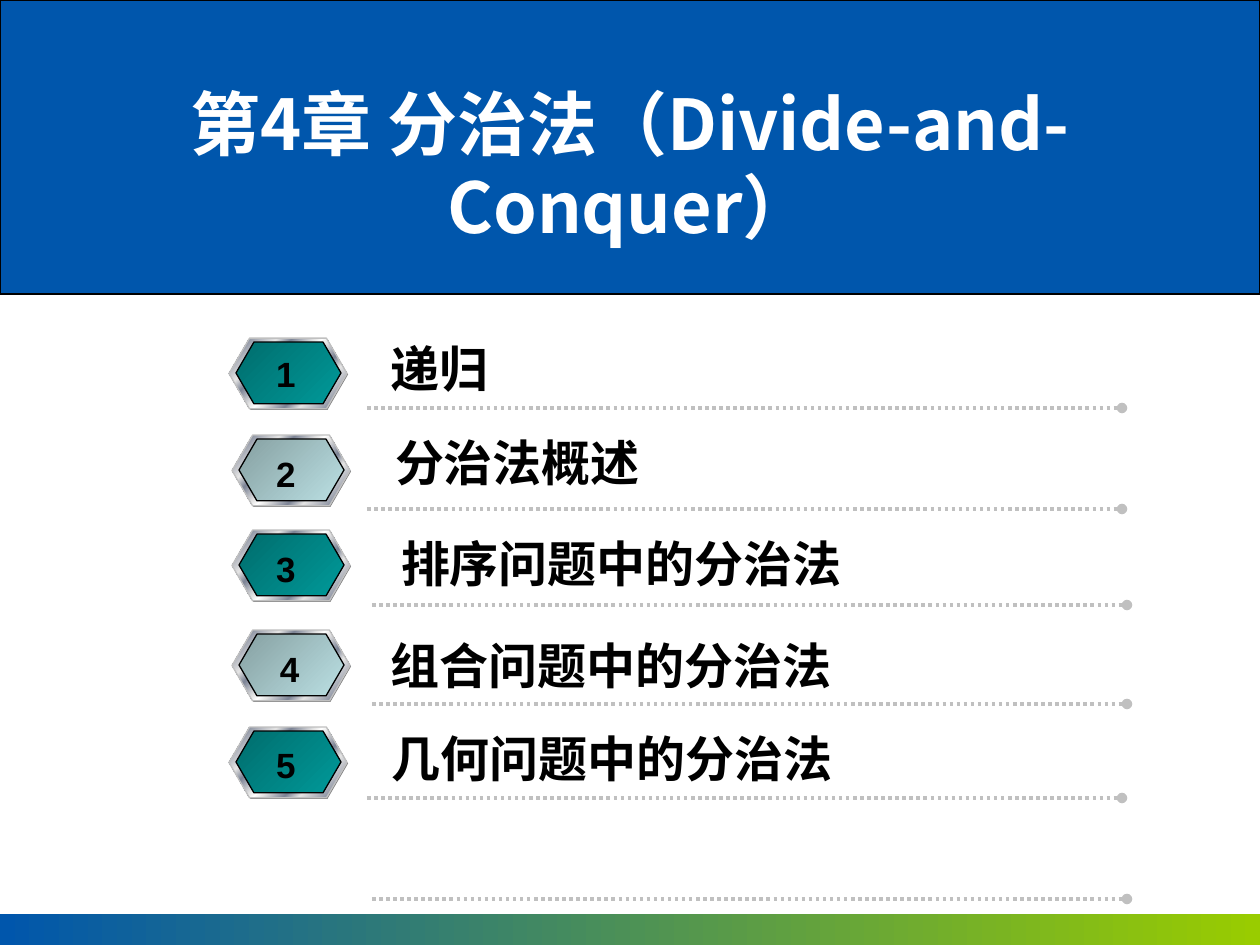
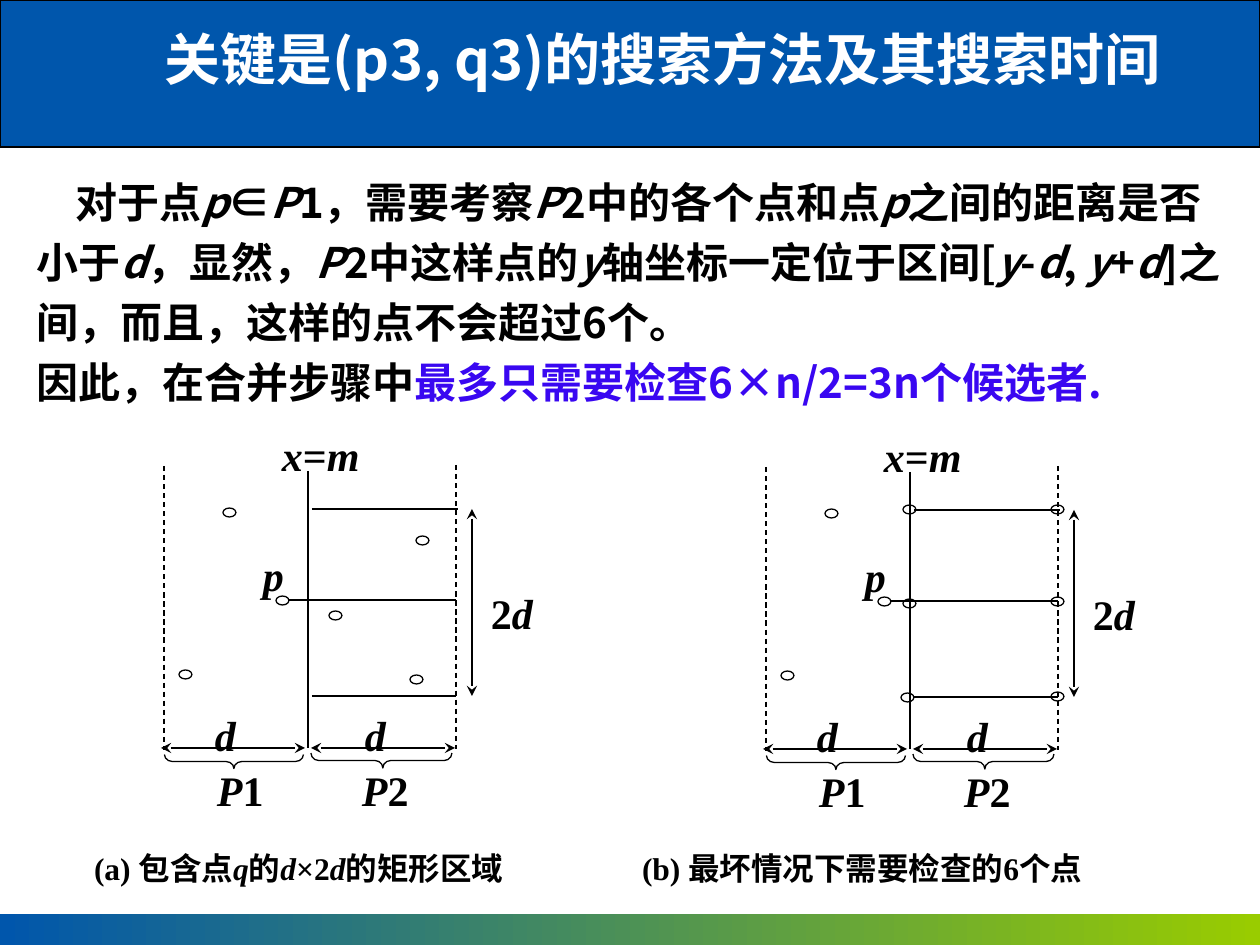
"""Build a chapter opener and a closest-pair search slide for divide and conquer."""
from lxml import etree
from pptx import Presentation
from pptx import util as u
from pptx.dml.color import RGBColor
from pptx.enum import dml, shapes, text
from pptx.oxml import ns

BLUE = RGBColor(0x00, 0x56, 0xAC)
LIME = RGBColor(0x99, 0xCC, 0x00)
BLACK = RGBColor(0x00, 0x00, 0x00)
WHITE = RGBColor(0xFF, 0xFF, 0xFF)
VIOLET = RGBColor(0x39, 0x07, 0xF1)
SILVER = RGBColor(0xC0, 0xC0, 0xC0)
GRAY = RGBColor(0x80, 0x80, 0x80)
PALE = RGBColor(0xE6, 0xE6, 0xE6)
STEEL = RGBColor(0x7D, 0x84, 0x96)

HEAVY = "Noto Sans CJK SC"
SANS = "Arial"
SERIF = "Times New Roman"

PX = 914400 / 126
PAGE_W, PAGE_H = 1260, 945
FOOTER_Y = 914

FOOTER_STOPS = [(0, BLUE), (100, LIME)]
TEAL_STOPS = [(0, RGBColor(0x00, 0x6D, 0x6D)), (100, RGBColor(0x00, 0x99, 0x99))]
MIST_STOPS = [(0, RGBColor(0x86, 0xA0, 0xA2)), (100, RGBColor(0xBB, 0xE0, 0xE3))]
METAL_STOPS = [(0, PALE), (8, STEEL), (26, PALE), (34, STEEL), (46, PALE), (50, WHITE),
               (54, PALE), (66, STEEL), (74, PALE), (92, STEEL), (100, PALE)]

CHAPTER_TITLE = "第4章 分治法（Divide-and-Conquer）"
TOPICS = [
    {"name": "递归", "font": SANS, "name_at": (391, 339), "digit_at": (276, 352),
     "badge_at": (229, 338), "rule_at": (367, 408)},
    {"name": "分治法概述", "font": SANS, "name_at": (395, 433), "digit_at": (276, 452),
     "badge_at": (232, 435), "rule_at": (367, 509)},
    {"name": "排序问题中的分治法", "font": SERIF, "name_at": (401, 534), "digit_at": (276, 547),
     "badge_at": (232, 530), "rule_at": (372, 605)},
    {"name": "组合问题中的分治法", "font": SERIF, "name_at": (391, 636), "digit_at": (280, 647),
     "badge_at": (232, 630), "rule_at": (372, 704)},
    {"name": "几何问题中的分治法", "font": SERIF, "name_at": (392, 729), "digit_at": (276, 743),
     "badge_at": (229, 727), "rule_at": (367, 798)},
]
LAST_RULE = (372, 899)
RULE_LENGTH = 755

# In rich text, * switches italics and | switches the accent colour.
SEARCH_TITLE = "关键是(p3, q3)的搜索方法及其搜索时间"
SEARCH_BODY = [
    "对于点*p*∈*P*1，需要考察*P*2中的各个点和点*p*之间的距离是否小于*d*，显然，"
    "*P*2中这样点的*y*轴坐标一定位于区间[*y*-*d*, *y*+*d*]之间，而且，这样的点不会超过6个。",
    "因此，在合并步骤中|最多只需要检查6×n/2=3n个候选者.|",
]
CAPTIONS = [("(a) 包含点*q*的*d*×2*d*的矩形区域", 94), ("(b) 最坏情况下需要检查的6个点", 642)]

FIGURE_LABELS = [("*x*=*m*", 282, 430), ("*d*", 215, 710), ("*d*", 365, 710), ("*p*", 263, 550),
                 ("*P*1", 217, 765), ("*P*2", 362, 765), ("2*d*", 491, 588)]
SOLID_LINES = [(308, 471, 308, 748), (289, 600, 456, 600),
               (312, 696, 456, 696), (312, 509, 458, 509)]
DASHED_LINES = [(164, 466, 164, 750), (456, 465, 456, 749)]
SPANS = [(161, 748, 305, 748), (311, 748, 455, 748), (472, 509, 472, 696)]
BRACES = [(227, 692, 14, 139, 0.57, 0.5), (374, 690, 15, 141, 0.52, 0.51)]
COMMON_POINTS = [(223, 508), (179, 670), (276, 596)]
FIGURES = [
    ((0, 0), [(416, 536), (329, 611), (410, 675)]),
    ((602, 1), [(301, 504), (301, 598), (299, 692), (449, 504), (449, 596), (449, 691)]),
]


def px(length):
    return u.Emu(round(length * PX))


def set_gradient(fill, parent, stops, angle):
    fill.gradient()
    fill.gradient_angle = angle
    stop_list = parent.find(".//" + ns.qn("a:gsLst"))
    for old in list(stop_list):
        stop_list.remove(old)
    for position, color in stops:
        stop = etree.SubElement(stop_list, ns.qn("a:gs"), pos=str(position * 1000))
        etree.SubElement(stop, ns.qn("a:srgbClr"), val=str(color))


def add_form(page, kind, x, y, w, h, fill=None, line=BLACK, angle=0, adjust=()):
    form = page.shapes.add_shape(kind, px(x), px(y), px(w), px(h))
    form.shadow.inherit = False
    if fill is None:
        form.fill.background()
    elif isinstance(fill, list):
        set_gradient(form.fill, form._element.spPr, fill, angle)
    else:
        form.fill.solid()
        form.fill.fore_color.rgb = fill
    if line is None:
        form.line.fill.background()
    else:
        form.line.color.rgb = line
        form.line.width = u.Pt(0.75)
    for index, value in enumerate(adjust):
        form.adjustments[index] = value
    return form


def add_line(page, x1, y1, x2, y2, color=BLACK, width=0.75, dash=None, head=None, tail=None):
    line = page.shapes.add_connector(shapes.MSO_CONNECTOR.STRAIGHT, px(x1), px(y1), px(x2), px(y2))
    line.line.color.rgb = color
    line.line.width = u.Pt(width)
    if dash is not None:
        line.line.dash_style = dash
    outline = line.line._get_or_add_ln()
    for tag, arrow in (("a:headEnd", head), ("a:tailEnd", tail)):
        if arrow:
            etree.SubElement(outline, ns.qn(tag), type=arrow)
    etree.SubElement(line._element.spPr, ns.qn("a:effectLst"))


def add_span(para, words, size, font, color, italic):
    span = para.add_run()
    span.text = words
    span.font.size = u.Pt(size)
    span.font.name = font
    span.font.bold = True
    span.font.italic = italic
    span.font.color.rgb = color
    etree.SubElement(span.font._element, ns.qn("a:ea"), typeface=HEAVY)


def add_text(page, paragraphs, x, y, w, size, font, color=BLACK, align=text.PP_ALIGN.LEFT,
             pitch=1.2, indent=0):
    height = size * pitch * 1.75 * len(paragraphs)
    box = page.shapes.add_textbox(px(x), px(y), px(w), px(height))
    frame = box.text_frame
    frame.word_wrap = True
    frame.margin_left = frame.margin_right = frame.margin_top = frame.margin_bottom = 0
    for index, words in enumerate(paragraphs):
        para = frame.add_paragraph() if index else frame.paragraphs[0]
        para.alignment = align
        para.line_spacing = u.Pt(size * pitch)
        if indent and index == 0:
            para._p.get_or_add_pPr().set("indent", str(px(indent)))
        for accent, passage in enumerate(words.split("|")):
            for italic, piece in enumerate(passage.split("*")):
                if piece:
                    tint = VIOLET if accent % 2 else color
                    add_span(para, piece, size, font, tint, italic % 2 == 1)


def add_page(deck, band_height, title, x, y, w, size):
    page = deck.slides.add_slide(deck.slide_layouts[6])
    rectangle = shapes.MSO_SHAPE.RECTANGLE
    add_form(page, rectangle, 0, 0, PAGE_W, band_height, BLUE)
    add_form(page, rectangle, 0, FOOTER_Y, PAGE_W, PAGE_H - FOOTER_Y, FOOTER_STOPS, None)
    add_text(page, [title], x, y, w, size, HEAVY, WHITE, text.PP_ALIGN.CENTER)
    return page


def add_badge(page, x, y, face):
    layers = [(1, 1, 118, 71, GRAY, None), (0, 0, 118, 71, METAL_STOPS, SILVER),
              (7, 4, 105, 62, face, BLACK)]
    for dx, dy, w, h, fill, line in layers:
        add_form(page, shapes.MSO_SHAPE.HEXAGON, x + dx, y + dy, w, h, fill, line, 315, (0.29, 1.15))


def add_rule(page, x, y):
    add_line(page, x, y, x + RULE_LENGTH, y, SILVER, 2, dml.MSO_LINE.ROUND_DOT, tail="oval")


def build_chapter(deck):
    page = add_page(deck, 294, CHAPTER_TITLE, 28, 80, 1204, 40)
    for number, topic in enumerate(TOPICS, 1):
        add_badge(page, *topic["badge_at"], TEAL_STOPS if number % 2 else MIST_STOPS)
        add_rule(page, *topic["rule_at"])
        add_text(page, [str(number)], *topic["digit_at"], 30, 20, SANS)
        add_text(page, [topic["name"]], *topic["name_at"], 610, 28, topic["font"])
    add_rule(page, *LAST_RULE)


def add_figure(page, shift, points):
    dx, dy = shift
    for x1, y1, x2, y2 in SOLID_LINES:
        add_line(page, x1 + dx, y1 + dy, x2 + dx, y2 + dy)
    for x1, y1, x2, y2 in DASHED_LINES:
        add_line(page, x1 + dx, y1 + dy, x2 + dx, y2 + dy, dash=dml.MSO_LINE.DASH)
    for x1, y1, x2, y2 in SPANS:
        add_line(page, x1 + dx, y1 + dy, x2 + dx, y2 + dy, head="stealth", tail="stealth")
    for x, y, w, h, *adjust in BRACES:
        brace = add_form(page, shapes.MSO_SHAPE.LEFT_BRACE, x + dx, y + dy, w, h, adjust=adjust)
        brace.rotation = 270
    for x, y in COMMON_POINTS + points:
        add_form(page, shapes.MSO_SHAPE.OVAL, x + dx, y + dy, 13, 9)
    for words, x, y in FIGURE_LABELS:
        add_text(page, [words], x + dx, y + dy, 100, 24, SERIF)


def build_search(deck):
    page = add_page(deck, 147, SEARCH_TITLE, 103, 24, 1120, 32)
    add_text(page, SEARCH_BODY, 37, 167, 1186, 24, HEAVY, pitch=1.43, indent=39)
    for shift, points in FIGURES:
        add_figure(page, shift, points)
    for words, x in CAPTIONS:
        add_text(page, [words], x, 849, 520, 18, SERIF)


def main():
    deck = Presentation()
    deck.slide_width, deck.slide_height = px(PAGE_W), px(PAGE_H)
    build_chapter(deck)
    build_search(deck)
    deck.save("out.pptx")


if __name__ == "__main__":
    main()
